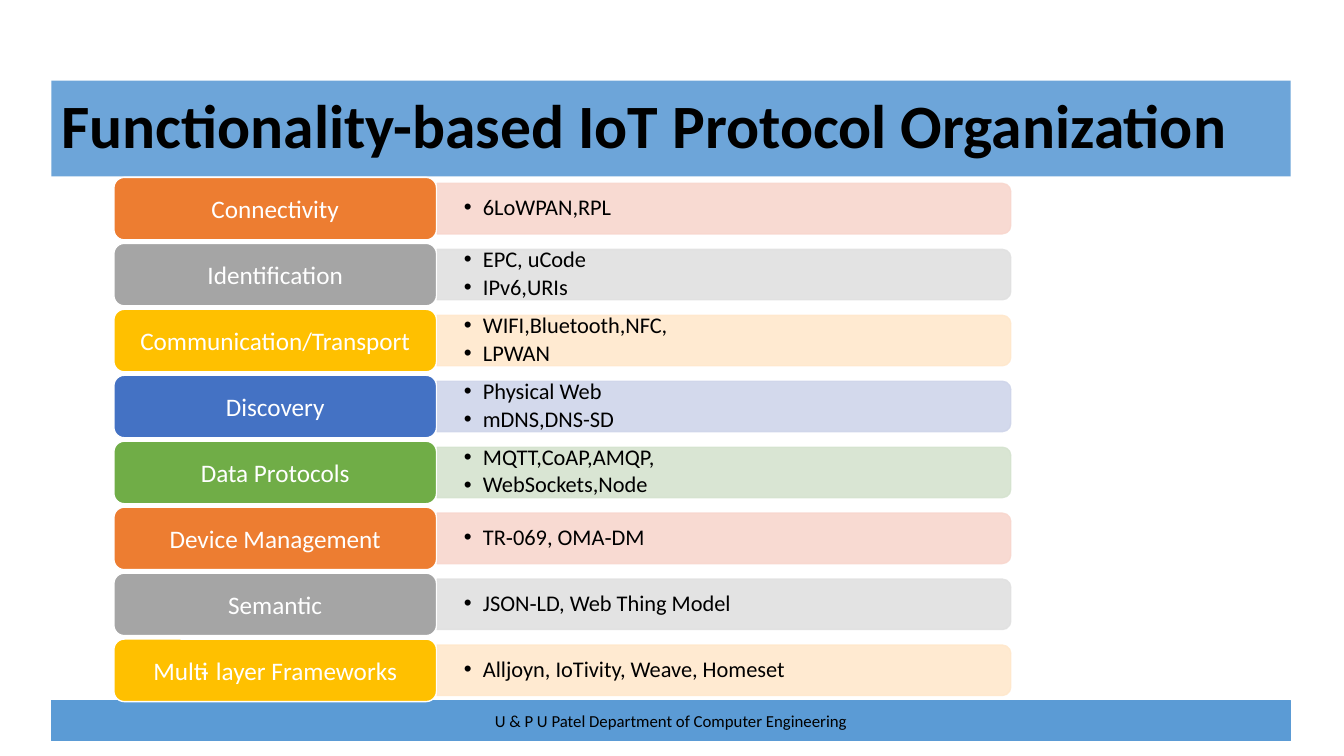
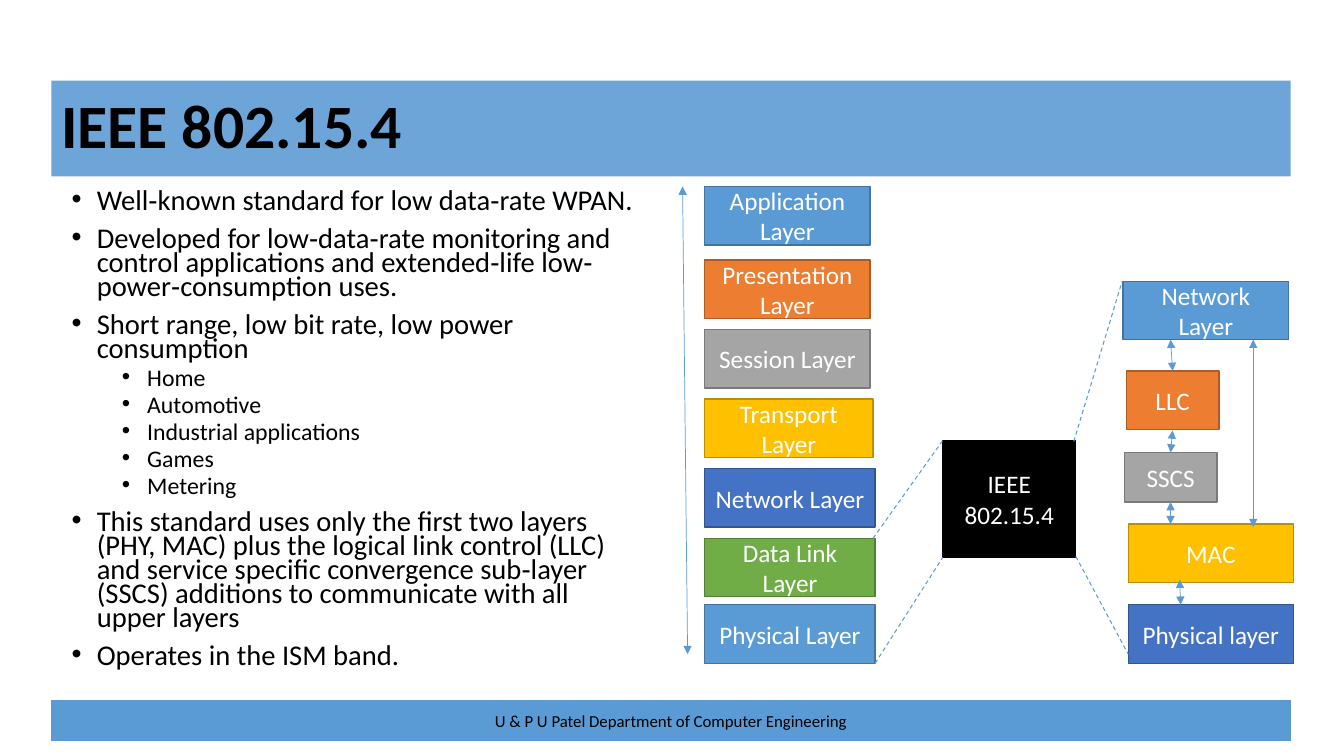
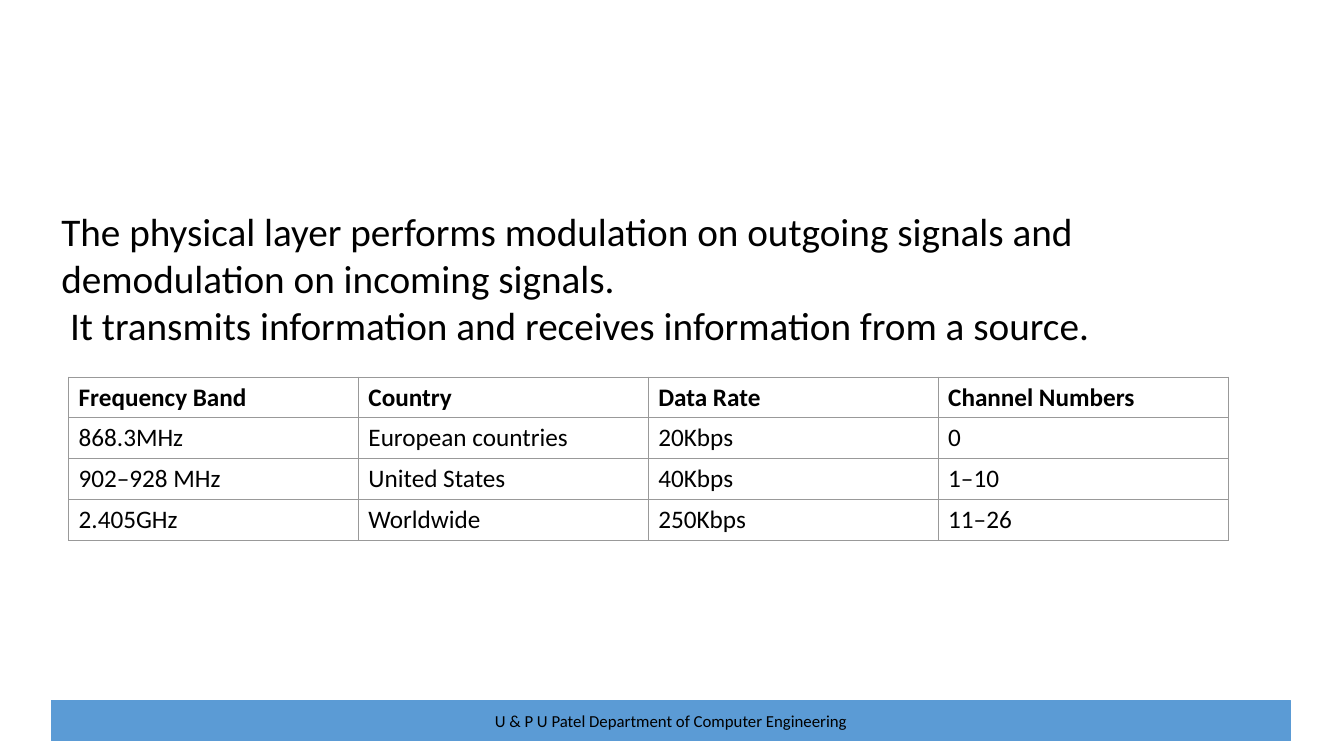
from lxml import etree
from pptx import Presentation
from pptx.dml.color import RGBColor
from pptx.enum import dml, shapes, text
from pptx.oxml import ns
from pptx.util import Inches, Pt

HUES = {
    "blue": "5B9BD5", "orange": "ED7D31", "gray": "A5A5A5", "gold": "FFC000",
    "navy": "4472C4", "green": "70AD47", "black": "000000", "white": "FFFFFF",
    "rule": "999999",
}
EDGES = {
    "blue": "43739E", "orange": "AF5C24", "gray": "7A7A7A", "gold": "BD8E00",
    "navy": "325491", "green": "538035", "black": "000000",
}
TINTS = {
    "orange": "F8D7CE", "gray": "E1E1E1", "gold": "FFE8CC",
    "navy": "CFD5EA", "green": "D5E3CF",
}
KIND = shapes.MSO_SHAPE
CENTER = text.PP_ALIGN.CENTER
LEFT = text.PP_ALIGN.LEFT


def rgb(code):
    return RGBColor.from_string(code)


def child(node, tag, **attrs):
    return etree.SubElement(node, ns.qn(tag), attrs)


def fade(fill, share):
    hue = fill._xPr.find(".//" + ns.qn("a:srgbClr"))
    child(hue, "a:alpha", val=str(share * 1000))


class Deck:
    font = "Calibri"
    foot = "U & P U Patel Department of Computer Engineering"

    def __init__(self):
        self.prs = Presentation()
        self.prs.slide_width = Inches(13.33)
        self.prs.slide_height = Inches(7.5)
        self.slide = None

    def page(self, layout, title=None):
        self.slide = self.prs.slides.add_slide(self.prs.slide_layouts[layout])
        self.shape(KIND.RECTANGLE, (0.51, 6.95, 12.29, 0.4), HUES["blue"],
                   HUES["blue"], 0.75, self.foot, 12, HUES["black"])
        if title:
            head = self.slide.shapes.title
            self.place(head, (0.51, 0.8, 12.29, 0.95))
            head.fill.solid()
            head.fill.fore_color.rgb = rgb(HUES["blue"])
            fade(head.fill, 89)
            self.frame(head.text_frame, text.MSO_ANCHOR.MIDDLE)
            para = self.label(head.text_frame, [title], 44, bold=True)[0]
            para.line_spacing = 0.9

    def place(self, item, box):
        item.left, item.top, item.width, item.height = map(Inches, box)

    def frame(self, frame, anchor, side=0.1, edge=0.05):
        frame.word_wrap = True
        frame.auto_size = text.MSO_AUTO_SIZE.NONE
        frame.vertical_anchor = anchor
        frame.margin_left = frame.margin_right = Inches(side)
        frame.margin_top = frame.margin_bottom = Inches(edge)

    def style(self, para, size, hue=HUES["black"], bold=False):
        para.font.name = self.font
        para.font.size = Pt(size)
        para.font.bold = bold
        para.font.color.rgb = rgb(hue)

    def label(self, frame, lines, size, hue=HUES["black"], align=LEFT, bold=False):
        for i, line in enumerate(lines):
            para = frame.add_paragraph() if i else frame.paragraphs[0]
            para.text = line
            para.alignment = align
            self.style(para, size, hue, bold)
        return frame.paragraphs

    def point(self, para, line, size, left, hang, space=0.9):
        para.text = line
        para.alignment = LEFT
        para.line_spacing = space
        props = para._p.get_or_add_pPr()
        props.set("marL", str(Inches(left)))
        props.set("indent", str(-Inches(hang)))
        child(props, "a:buFont", typeface="Arial")
        child(props, "a:buChar", char="•")
        self.style(para, size)

    def shape(self, kind, box, fill, edge, width=1, label=None, size=18,
              hue=HUES["white"]):
        item = self.slide.shapes.add_shape(kind, *map(Inches, box))
        item.shadow.inherit = False
        item.fill.solid()
        item.fill.fore_color.rgb = rgb(fill)
        item.line.color.rgb = rgb(edge)
        item.line.width = Pt(width)
        if label:
            self.frame(item.text_frame, text.MSO_ANCHOR.MIDDLE)
            self.label(item.text_frame, [label], size, hue, CENTER)
        return item

    def row(self, top, hue, label, lines):
        long, thick = 5.69, 0.5
        mid = top + 0.31
        band = self.shape(
            KIND.ROUND_2_SAME_RECTANGLE,
            (7.18 - thick / 2, mid - long / 2, thick, long),
            TINTS[hue], TINTS[hue])
        band.rotation = 90
        fade(band.fill, 90)
        fade(band.line.fill, 90)
        note = self.box((4.33, mid - 0.23, 5.66, 0.45),
                        text.MSO_ANCHOR.MIDDLE, 0.27, 0.14)
        for i, line in enumerate(lines):
            para = note.add_paragraph() if i else note.paragraphs[0]
            self.point(para, line, 16, 0.19, 0.19)
            para.space_after = Pt(2.4)
        self.shape(KIND.ROUNDED_RECTANGLE, (1.13, top, 3.2, 0.62),
                   HUES[hue], HUES["white"], 1, label)

    def box(self, box, anchor=text.MSO_ANCHOR.TOP, side=0.1, edge=0.05):
        frame = self.slide.shapes.add_textbox(*map(Inches, box)).text_frame
        self.frame(frame, anchor, side, edge)
        return frame

    def list(self, box, items):
        body = self.slide.placeholders[1]
        self.place(body, box)
        frame = body.text_frame
        self.frame(frame, text.MSO_ANCHOR.TOP)
        for i, (level, line) in enumerate(items):
            para = frame.add_paragraph() if i else frame.paragraphs[0]
            para.level = level
            self.point(para, line, (20.4, 17)[level], (0.25, 0.75)[level], 0.25, 0.7)
            para.space_before = Pt((10, 5)[level] if i else 0)

    def block(self, box, hue, label):
        self.shape(KIND.RECTANGLE, box, HUES[hue], EDGES[hue], 1, label)

    def line(self, start, end, dash=False):
        item = self.slide.shapes.add_connector(
            shapes.MSO_CONNECTOR.STRAIGHT, *map(Inches, start + end))
        item.line.color.rgb = rgb(HUES["blue"])
        item.line.width = Pt(0.75 if dash else 0.5)
        if dash:
            item.line.dash_style = dml.MSO_LINE.DASH
        else:
            for tag in ("a:headEnd", "a:tailEnd"):
                child(item.line._get_or_add_ln(), tag, type="triangle")
        child(item._element.spPr, "a:effectLst")

    def table(self, box, rows):
        grid = self.slide.shapes.add_table(
            len(rows), len(rows[0]), *map(Inches, box)).table
        grid.first_row = grid.horz_banding = False
        for r, row in enumerate(rows):
            for c, value in enumerate(row):
                cell = grid.cell(r, c)
                self.label(cell.text_frame, [value], 18, bold=r == 0)
                props = cell._tc.get_or_add_tcPr()
                for tag in ("a:lnL", "a:lnR", "a:lnT", "a:lnB"):
                    edge = child(props, tag, w=str(Pt(0.75)))
                    child(child(edge, "a:solidFill"), "a:srgbClr", val=HUES["rule"])
                cell.fill.solid()
                cell.fill.fore_color.rgb = rgb(HUES["white"])


def groups(deck):
    deck.page(5, "Functionality-based IoT Protocol Organization")
    rows = [
        ("orange", "Connectivity", ["6LoWPAN,RPL"]),
        ("gray", "Identification", ["EPC, uCode", "IPv6,URIs"]),
        ("gold", "Communication/Transport", ["WIFI,Bluetooth,NFC,", "LPWAN"]),
        ("navy", "Discovery", ["Physical Web", "mDNS,DNS-SD"]),
        ("green", "Data Protocols", ["MQTT,CoAP,AMQP,", "WebSockets,Node"]),
        ("orange", "Device Management", ["TR‐069, OMA‐DM"]),
        ("gray", "Semantic", ["JSON‐LD, Web Thing Model"]),
        ("gold", "Multi‐layer Frameworks", ["Alljoyn, IoTivity, Weave, Homeset"]),
    ]
    step = (6.34 - 1.76) / (len(rows) - 1)
    for i, row in enumerate(rows):
        deck.row(1.76 + i * step, *row)


def stack(deck):
    deck.page(1, "IEEE 802.15.4")
    deck.list((0.61, 1.85, 5.88, 5), [
        (0, "Well‐known standard for low data‐rate WPAN."),
        (0, "Developed for low‐data‐rate monitoring and control applications "
            "and extended‐life low‐power‐consumption uses."),
        (0, "Short range, low bit rate, low power consumption"),
        (1, "Home"),
        (1, "Automotive"),
        (1, "Industrial applications"),
        (1, "Games"),
        (1, "Metering"),
        (0, "This standard uses only the first two layers (PHY, MAC) plus the "
            "logical link control (LLC) and service specific convergence "
            "sub‐layer (SSCS) additions to communicate with all upper layers"),
        (0, "Operates in the ISM band."),
    ])
    for top, wide, hue, label in [
        (1.85, 1.64, "blue", "Application Layer"),
        (2.58, 1.64, "orange", "Presentation Layer"),
        (3.27, 1.64, "gray", "Session Layer"),
        (3.96, 1.67, "gold", "Transport Layer"),
        (4.65, 1.69, "navy", "Network Layer"),
        (5.34, 1.69, "green", "Data Link Layer"),
        (6, 1.69, "blue", "Physical Layer"),
    ]:
        deck.block((6.99, top, wide, 0.58), hue, label)
    for box, hue, label in [
        ((11.14, 2.79, 1.64, 0.58), "blue", "Network Layer"),
        ((11.17, 3.68, 0.92, 0.58), "orange", "LLC"),
        ((11.15, 4.49, 0.92, 0.49), "gray", "SSCS"),
        ((11.19, 5.2, 1.64, 0.58), "gold", "MAC"),
        ((11.19, 6, 1.64, 0.58), "navy", "Physical layer"),
        ((9.35, 4.37, 1.32, 1.16), "black", "IEEE 802.15.4"),
    ]:
        deck.block(box, hue, label)
    for start, end in [
        ((8.66, 5.34), (9.35, 4.37)),
        ((8.68, 6.58), (9.35, 5.53)),
        ((10.65, 4.38), (11.13, 2.79)),
        ((10.67, 5.52), (11.19, 6.49)),
    ]:
        deck.line(start, end, dash=True)
    for start, end in [
        ((11.61, 3.37), (11.63, 3.68)),
        ((11.63, 4.27), (11.61, 4.49)),
        ((11.61, 4.98), (11.61, 5.2)),
        ((11.7, 5.75), (11.71, 6)),
        ((12.43, 3.37), (12.43, 5.23)),
        ((6.77, 1.85), (6.82, 6.49)),
    ]:
        deck.line(start, end)


def bands(deck):
    deck.page(6)
    deck.table((0.68, 3.74, 11.5, 1.6), [
        ("Frequency Band", "Country", "Data Rate", "Channel Numbers"),
        ("868.3MHz", "European countries", "20Kbps", "0"),
        ("902–928 MHz", "United States", "40Kbps", "1–10"),
        ("2.405GHz", "Worldwide", "250Kbps", "11–26"),
    ])
    deck.label(deck.box((0.51, 2.01, 12.29, 1.51)), [
        "The physical layer performs modulation on outgoing signals and "
        "demodulation on incoming signals.",
        " It transmits information and receives information from a source.",
    ], 28)


def main():
    deck = Deck()
    groups(deck)
    stack(deck)
    bands(deck)
    deck.prs.save("out.pptx")


if __name__ == "__main__":
    main()
